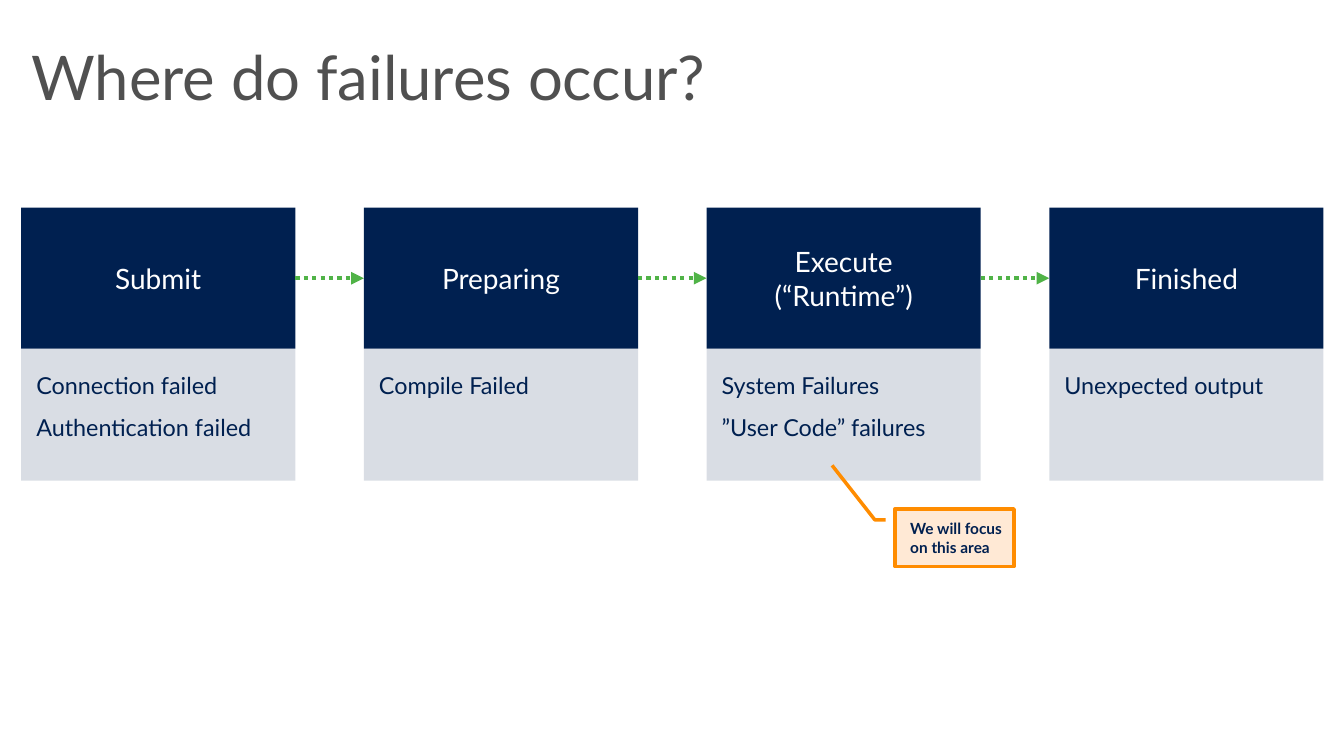
from lxml import etree
from pptx import Presentation
from pptx.dml.color import RGBColor
from pptx.enum.dml import MSO_LINE
from pptx.enum.shapes import MSO_CONNECTOR, MSO_SHAPE
from pptx.enum.text import MSO_ANCHOR, MSO_AUTO_SIZE, PP_ALIGN
from pptx.oxml.ns import qn
from pptx.util import Pt

RECTANGLE, CALLOUT = MSO_SHAPE.RECTANGLE, MSO_SHAPE.LINE_CALLOUT_2
STRAIGHT, DOTTED = MSO_CONNECTOR.STRAIGHT, MSO_LINE.ROUND_DOT
TOP, MIDDLE = MSO_ANCHOR.TOP, MSO_ANCHOR.MIDDLE
LEFT, CENTER = PP_ALIGN.LEFT, PP_ALIGN.CENTER
GROW = MSO_AUTO_SIZE.SHAPE_TO_FIT_TEXT
RIGHT_SIDE, LEFT_SIDE = 3, 1

NAVY, WHITE, GREY = "002050", "FFFFFF", "505050"
GREEN, ORANGE, PEACH = "50B347", "FF8C00", "FFE9D5"

STAGES = [
    (["Submit"], ["Connection failed", "Authentication failed"]),
    (["Preparing"], ["Compile Failed"]),
    (["Execute", "(“Runtime”)"], ["System Failures", "”User Code” failures"]),
    (["Finished"], ["Unexpected output"]),
]
STAGE_LEFT, STAGE_WIDTH, STAGE_PITCH = 15.12, 195.84, 244.8
HEADER_TOP, HEADER_HEIGHT, DETAIL_HEIGHT = 148.32, 100.8, 94.32


def add_box(kind, left, top, width, height, fill):
    box = page.shapes.add_shape(kind, Pt(left), Pt(top), Pt(width), Pt(height))
    box.shadow.inherit = False
    box.fill.solid()
    box.fill.fore_color.rgb = RGBColor.from_string(fill)
    box.line.fill.background()
    return box


def write(box, lines, size, color, anchor=MIDDLE, align=LEFT, spacing=1.0,
          margins=(7.2, 3.6, 7.2, 3.6), bold=False):
    """Fill a box with one paragraph per line; margins run left, top, right, bottom."""
    frame = box.text_frame
    frame.word_wrap = True
    frame.vertical_anchor = anchor
    for side, margin in zip(("left", "top", "right", "bottom"), margins):
        setattr(frame, f"margin_{side}", Pt(margin))
    frame.text = "\n".join(lines)
    for para in frame.paragraphs:
        para.alignment = align
        para.line_spacing = spacing
        font = para.runs[0].font
        for name, value in {"name": "Lato", "size": Pt(size), "bold": bold}.items():
            setattr(font, name, value)
        font.color.rgb = RGBColor.from_string(color)


deck = Presentation()
deck.slide_width, deck.slide_height = Pt(960), Pt(540)
page = deck.slides.add_slide(deck.slide_layouts[5])

title = page.shapes.title
title.left, title.top, title.width, title.height = Pt(15.12), Pt(23.76), Pt(930.24), Pt(67.68)
write(title, ["Where do failures occur?"], 44, GREY, spacing=0.9)

headers = []
for index, (heading, failures) in enumerate(STAGES):
    left = STAGE_LEFT + index * STAGE_PITCH
    header = add_box(RECTANGLE, left, HEADER_TOP, STAGE_WIDTH, HEADER_HEIGHT, NAVY)
    write(header, heading, 20, WHITE, align=CENTER)
    headers.append(header)

    detail = add_box(RECTANGLE, left, HEADER_TOP + HEADER_HEIGHT, STAGE_WIDTH, DETAIL_HEIGHT, NAVY)
    color = detail.fill._xPr.find(qn("a:solidFill")).find(qn("a:srgbClr"))
    etree.SubElement(color, qn("a:alpha"), val="15000")
    write(detail, failures, 16.7, NAVY, anchor=TOP, spacing=1.5, margins=(10.8, 5.76, 7.2, 5.76))

for before, after in zip(headers, headers[1:]):
    arrow = page.shapes.add_connector(STRAIGHT, 0, 0, 0, 0)
    arrow.begin_connect(before, RIGHT_SIDE)
    arrow.end_connect(after, LEFT_SIDE)
    arrow.line.color.rgb = RGBColor.from_string(GREEN)
    arrow.line.width = Pt(3)
    arrow.line.dash_style = DOTTED
    properties = arrow.element.spPr
    etree.SubElement(properties.find(qn("a:ln")), qn("a:tailEnd"), type="triangle")
    etree.SubElement(properties, qn("a:effectLst"))

focus = add_box(CALLOUT, 639.36, 363.6, 84.96, 41.04, PEACH)
focus.line.color.rgb = RGBColor.from_string(ORANGE)
focus.line.width = Pt(2.5)
for index, value in enumerate((0.19, -0.08, 0.19, -0.17, -0.76, -0.53)):
    focus.adjustments[index] = value
write(focus, ["We will focus on this area"], 11, NAVY, margins=(10.8, 7.2, 7.2, 7.2), bold=True)
focus.text_frame.auto_size = GROW

deck.save("out.pptx")
